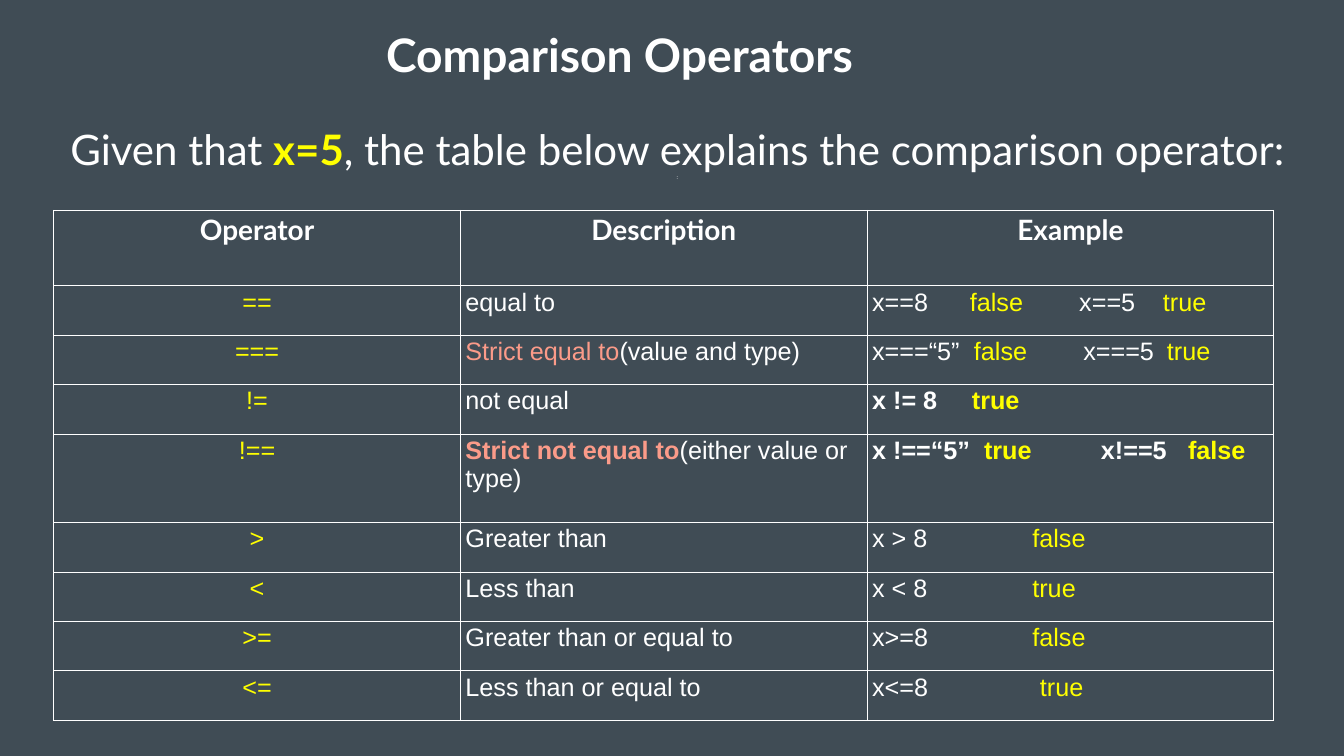
"""Build a slide with a table of comparison operators."""
import lxml.etree
import pptx
import pptx.dml.color
import pptx.enum.text
import pptx.oxml.ns
import pptx.util

COLORS = {"background": "404C55", "white": "FFFFFF", "yellow": "FFFF00", "coral": "FB9B89", "shadow": "000000"}
WIDTH, HEIGHT = 26.67, 15
COLUMN, ROW = 8.07, 0.98
LEFT = 0.04 * WIDTH
CENTER = pptx.enum.text.PP_ALIGN.CENTER
MIDDLE = pptx.enum.text.MSO_ANCHOR.MIDDLE
qn = pptx.oxml.ns.qn


def write(paragraph, text, color="white", size=36, font="Arial", bold=False):
    run = paragraph.add_run()
    run.text = text
    run.font.name = font
    run.font.size = pptx.util.Pt(size)
    run.font.bold = bold
    run.font.color.rgb = pptx.dml.color.RGBColor.from_string(COLORS[color])
    return run


presentation = pptx.Presentation()
presentation.slide_width = pptx.util.Inches(WIDTH)
presentation.slide_height = pptx.util.Inches(HEIGHT)
slide = presentation.slides.add_slide(presentation.slide_layouts[6])
slide.background.fill.solid()
slide.background.fill.fore_color.rgb = pptx.dml.color.RGBColor.from_string(COLORS["background"])

frames = []
for left, top, width, height, inset in [
    (0.082 * WIDTH, 0.034 * HEIGHT, 0.758 * WIDTH, 0.074 * HEIGHT, 0),
    (LEFT, 0.157 * HEIGHT, 0.928 * WIDTH, 0.087 * HEIGHT, 0.08),
]:
    box = slide.shapes.add_textbox(*map(pptx.util.Inches, (left, top, width, height)))
    frame = box.text_frame
    frame.word_wrap = True
    frame.vertical_anchor = MIDDLE
    frame.margin_left = frame.margin_right = pptx.util.Inches(inset)
    frame.margin_top = frame.margin_bottom = pptx.util.Inches(inset)
    frame.paragraphs[0].alignment = CENTER
    frames.append(frame)
title, introduction = frames

title_run = write(title.paragraphs[0], "Comparison Operators", size=66, font="Lato", bold=True)
effects = lxml.etree.Element(qn("a:effectLst"))
shadow = lxml.etree.SubElement(effects, qn("a:outerShdw"), blurRad="38100", dist="38100", dir="2700000", algn="tl")
shadow_color = lxml.etree.SubElement(shadow, qn("a:srgbClr"), val=COLORS["shadow"])
lxml.etree.SubElement(shadow_color, qn("a:alpha"), val="43000")
title_run.font.fill
title_run.font._element.find(qn("a:solidFill")).addnext(effects)

sentence = introduction.paragraphs[0]
write(sentence, "Given that\u00a0".replace("\u00a0", " "), size=60, font="Lato")
write(sentence, "x=5", "yellow", size=60, font="Lato", bold=True)
write(sentence, ", the table below explains the comparison operator:", size=60, font="Lato")
small_line = introduction.add_paragraph()
small_line.alignment = CENTER
write(small_line, ":", size=8, font="Lato")

headings = ["Operator", "Description", "Example"]
operators = [
    ("==", [("equal to", "white", False)], ["x==8", "false", "x==5", "true"], [1.94, 4.11, 5.77], False),
    ("===", [("Strict equal to", "coral", False), ("(value and type)", "white", False)],
     ["x===“5”", "false", "x===5", "true"], [2.02, 4.19, 5.85], False),
    ("!=", [("not equal", "white", False)], ["x != 8", "true"], [1.98], True),
    ("!==", [("Strict not equal to", "coral", True), ("(either value or type)", "white", False)],
     ["x !==“5”", "true", "x!==5", "false"], [2.22, 4.54, 6.27], True),
    (">", [("Greater than", "white", False)], ["x > 8", "false"], [3.18], False),
    ("<", [("Less than", "white", False)], ["x < 8", "true"], [3.18], False),
    (">=", [("Greater than or equal to", "white", False)], ["x>=8", "false"], [3.18], False),
    ("<=", [("Less than or equal to", "white", False)], ["x<=8", "true"], [3.33], False),
]
row_heights = [1.5 if row == 0 else 1.76 if row == 4 else ROW for row in range(len(operators) + 1)]

table = slide.shapes.add_table(
    len(row_heights), len(headings), pptx.util.Inches(LEFT), pptx.util.Inches(0.278 * HEIGHT),
    pptx.util.Inches(COLUMN * len(headings)), pptx.util.Inches(sum(row_heights)),
).table
table.first_row = table.horz_banding = False
for column in table.columns:
    column.width = pptx.util.Inches(COLUMN)
for row, height in zip(table.rows, row_heights):
    row.height = pptx.util.Inches(height)

for cell in table.iter_cells():
    cell.margin_left = cell.margin_right = pptx.util.Inches(0.1)
    cell.margin_top = cell.margin_bottom = pptx.util.Inches(0.05)
    properties = cell._tc.get_or_add_tcPr()
    for side in ("L", "R", "T", "B"):
        border = lxml.etree.SubElement(properties, qn(f"a:ln{side}"), w=str(pptx.util.Pt(1)))
        border_fill = lxml.etree.SubElement(border, qn("a:solidFill"))
        lxml.etree.SubElement(border_fill, qn("a:srgbClr"), val=COLORS["white"])
    cell.fill.solid()
    cell.fill.fore_color.rgb = pptx.dml.color.RGBColor.from_string(COLORS["background"])

for index, heading in enumerate(headings):
    paragraph = table.cell(0, index).text_frame.paragraphs[0]
    paragraph.alignment = CENTER
    write(paragraph, heading, size=40, font="Lato", bold=True)

for index, (operator, description, examples, stops, bold) in enumerate(operators, 1):
    symbol, meaning, example = [table.cell(index, column).text_frame.paragraphs[0] for column in range(3)]
    symbol.alignment = CENTER
    write(symbol, operator, "yellow")
    for text, color, emphasis in description:
        write(meaning, text, color, bold=emphasis)
    tabs = lxml.etree.SubElement(example._p.get_or_add_pPr(), qn("a:tabLst"))
    for stop in stops:
        lxml.etree.SubElement(tabs, qn("a:tab"), pos=str(pptx.util.Inches(stop)), algn="l")
    for position, text in enumerate(examples):
        gap = "\t" if position else ""
        write(example, gap + text, "yellow" if position % 2 else "white", bold=bold)

presentation.save("out.pptx")
